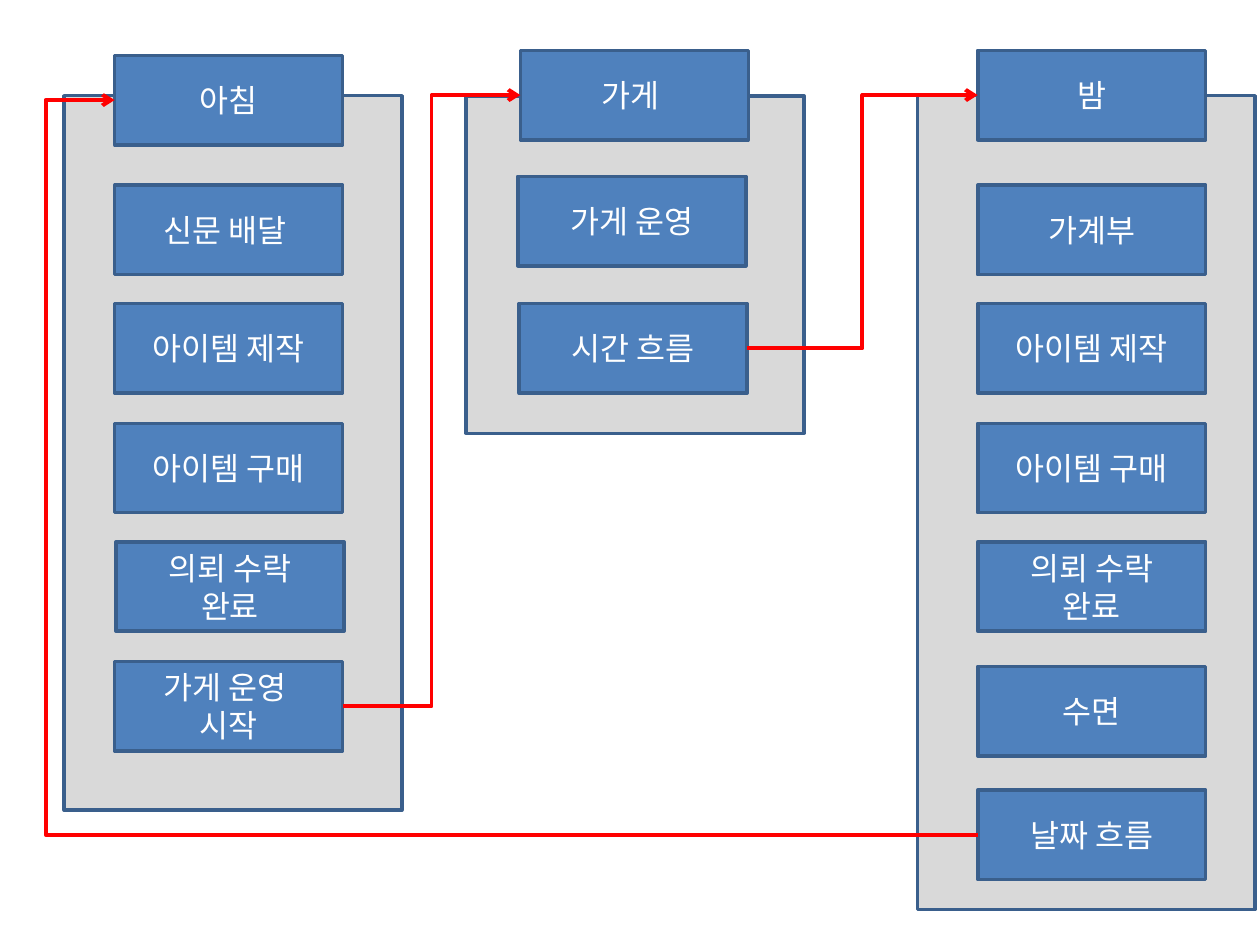
from dataclasses import dataclass

from lxml.etree import SubElement
from pptx import Presentation
from pptx.dml.color import RGBColor
from pptx.enum.shapes import MSO_CONNECTOR, MSO_SHAPE
from pptx.enum.text import MSO_ANCHOR, PP_ALIGN
from pptx.oxml.ns import qn
from pptx.util import Inches, Pt


@dataclass(frozen=True)
class Theme:
    panel: str = "D9D9D9"
    step: str = "4F81BD"
    outline: str = "3A5F8C"
    arrow: str = "FF0000"
    text: str = "FFFFFF"
    font: str = "Noto Sans CJK KR"
    text_size: float = 18
    outline_width: float = 2
    arrow_width: float = 2.25


THEME = Theme()
PANEL_TOP, PANEL_WIDTH = 0.76, 2.68
STEP_WIDTH, STEP_HEIGHT = 1.81, 0.71
LEFT_SIDE, RIGHT_SIDE = 1, 3

PHASES = {
    "morning": (0.51, 5.67, [
        (0.91, 0.44, "아침"),
        (0.91, 1.47, "신문 배달 "),
        (0.91, 2.41, "아이템 제작"),
        (0.91, 3.36, "아이템 구매"),
        (0.92, 4.3, "의뢰 수락\n완료"),
        (0.91, 5.25, "가게 운영 \n시작"),
    ]),
    "shop": (3.7, 2.68, [
        (4.13, 0.4, "가게 "),
        (4.11, 1.4, "가게 운영"),
        (4.12, 2.41, "시간 흐름"),
    ]),
    "night": (7.28, 6.46, [
        (7.76, 0.4, "밤"),
        (7.76, 1.47, "가계부"),
        (7.76, 2.41, "아이템 제작"),
        (7.76, 3.36, "아이템 구매"),
        (7.76, 4.3, "의뢰 수락\n완료"),
        (7.76, 5.29, "수면"),
        (7.76, 6.27, "날짜 흐름"),
    ]),
}


def apply_format(target, values):
    for name, value in values.items():
        setattr(target, name, value)


def paint_line(line, color, width):
    line.color.rgb = RGBColor.from_string(color)
    line.width = Pt(width)


def add_box(page, left, top, width, height, fill):
    box = page.shapes.add_shape(
        MSO_SHAPE.RECTANGLE, Inches(left), Inches(top), Inches(width), Inches(height))
    box.shadow.inherit = False
    box.fill.solid()
    box.fill.fore_color.rgb = RGBColor.from_string(fill)
    paint_line(box.line, THEME.outline, THEME.outline_width)
    return box


def add_step(page, left, top, text):
    box = add_box(page, left, top, STEP_WIDTH, STEP_HEIGHT, THEME.step)
    frame = box.text_frame
    apply_format(frame, {"word_wrap": True, "vertical_anchor": MSO_ANCHOR.MIDDLE})
    frame.text = text
    for para in frame.paragraphs:
        para.alignment = PP_ALIGN.CENTER
        for span in para.runs:
            apply_format(span.font, {"name": THEME.font, "size": Pt(THEME.text_size)})
            span.font.color.rgb = RGBColor.from_string(THEME.text)
            SubElement(span.font._element, qn("a:ea"), typeface=THEME.font)
    return box


def add_arrow(page, source, target, source_side=RIGHT_SIDE, bend=0.5):
    arrow = page.shapes.add_connector(MSO_CONNECTOR.ELBOW, 0, 0, 0, 0)
    arrow.begin_connect(source, source_side)
    arrow.end_connect(target, LEFT_SIDE)
    paint_line(arrow.line, THEME.arrow, THEME.arrow_width)
    SubElement(arrow.line._get_or_add_ln(), qn("a:tailEnd"), type="arrow")
    properties = arrow._element.spPr
    SubElement(properties, qn("a:effectLst"))
    adjustments = properties.find(qn("a:prstGeom")).get_or_add_avLst()
    SubElement(adjustments, qn("a:gd"), name="adj1", fmla=f"val {round(bend * 100000)}")


def main():
    deck = Presentation()
    apply_format(deck, {"slide_width": Inches(10), "slide_height": Inches(7.5)})
    page = deck.slides.add_slide(deck.slide_layouts[6])
    for left, height, _ in PHASES.values():
        add_box(page, left, PANEL_TOP, PANEL_WIDTH, height, THEME.panel)
    boxes = {name: [add_step(page, *step) for step in steps]
             for name, (_, _, steps) in PHASES.items()}
    morning, shop, night = boxes["morning"], boxes["shop"], boxes["night"]
    add_arrow(page, morning[-1], shop[0])
    add_arrow(page, shop[-1], night[0])
    add_arrow(page, night[-1], morning[0], LEFT_SIDE, 1.08)
    deck.save("out.pptx")


main()
